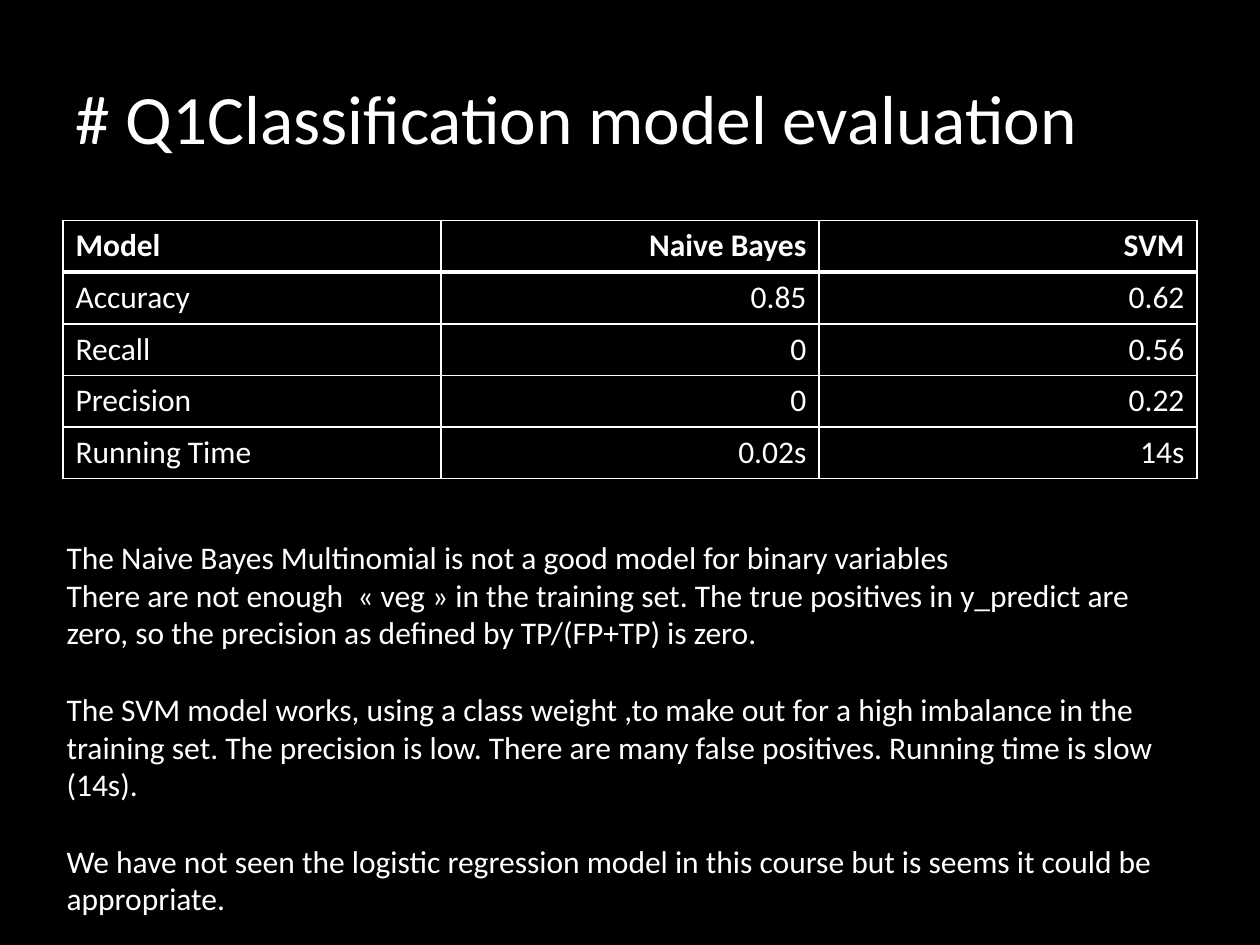
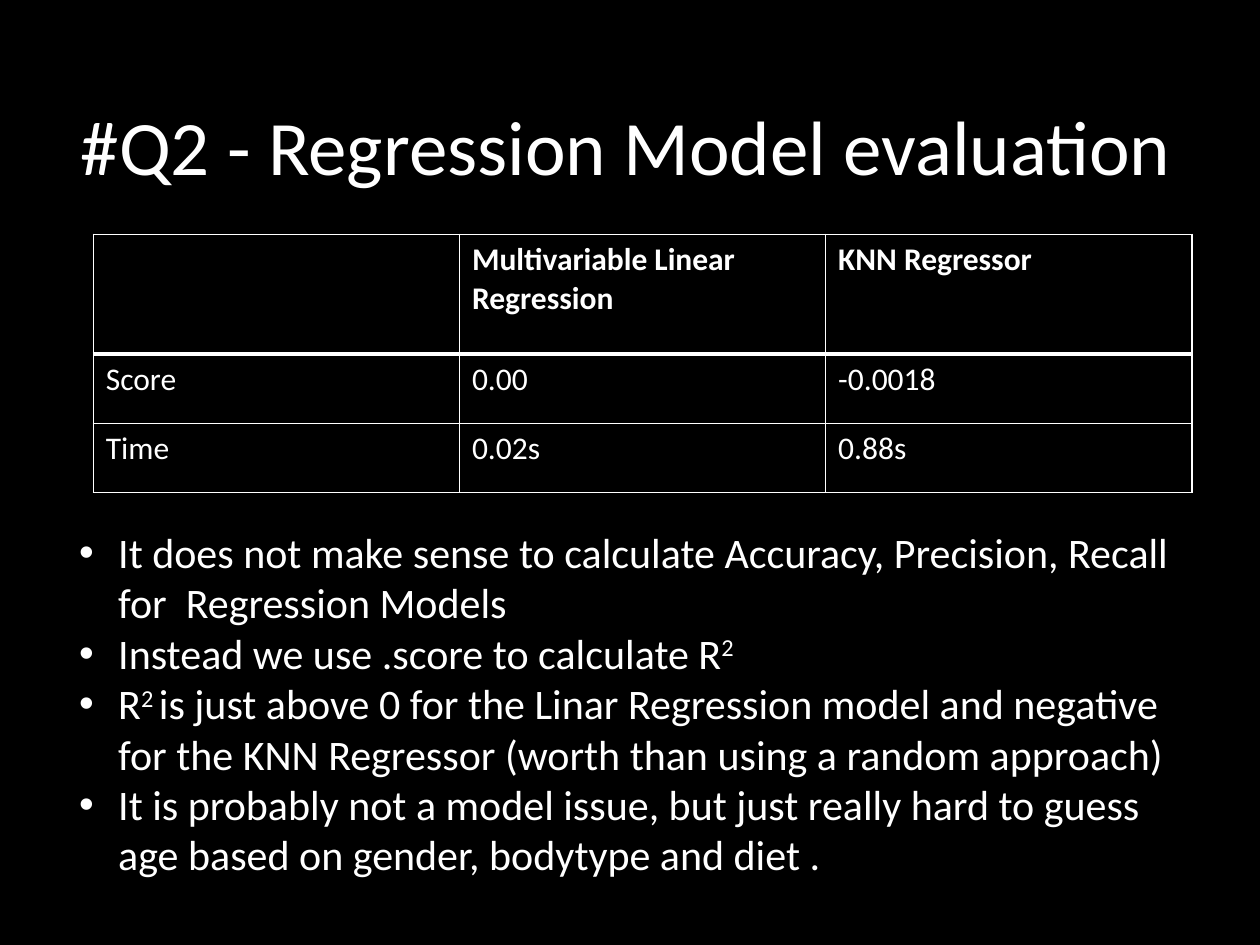
from lxml.etree import SubElement
from pptx import Presentation
from pptx.dml.color import RGBColor
from pptx.enum.text import MSO_ANCHOR as Anchor, MSO_AUTO_SIZE as AutoSize, PP_ALIGN as Align
from pptx.oxml.ns import qn
from pptx.util import Inches, Pt

FONT = "Calibri"
BACK = "000000"
INK = "FFFFFF"


def colour(value):
    return RGBColor.from_string(value)


def paint(fill, value):
    fill.solid()
    fill.fore_color.rgb = colour(value)


class Page:
    """Holds the deck's style and the slide being built."""

    def __init__(self, deck):
        self.deck = deck
        self.slide = None

    def start(self, title, left, top, size):
        self.slide = self.deck.slides.add_slide(self.deck.slide_layouts[5])
        box = self.slide.shapes.title
        box.left, box.top = Inches(left), Inches(top)
        box.width, box.height = Inches(9), Inches(1.25)
        frame = box.text_frame
        frame.auto_size = AutoSize.NONE
        frame.vertical_anchor = Anchor.MIDDLE
        para = frame.paragraphs[0]
        para.alignment = Align.LEFT
        self.span(para, title, size)

    def span(self, para, text, size, bold=False, raised=False):
        run = para.add_run()
        run.text = text
        run.font.name, run.font.size, run.font.bold = FONT, Pt(size), bold
        run.font.color.rgb = colour(INK)
        if raised:
            run.font._element.set("baseline", "30000")

    def table(self, rows, left, top, width, heights, number_align=Align.LEFT):
        """Draws a grid whose first row is bold and ruled off by a thick line."""
        columns = len(rows[0])
        grid = self.slide.shapes.add_table(
            len(rows), columns, Inches(left), Inches(top), Inches(width), Inches(sum(heights))
        ).table
        for column in grid.columns:
            column.width = Inches(width / columns)
        for r, (row, height) in enumerate(zip(rows, heights)):
            grid.rows[r].height = Inches(height)
            for c, text in enumerate(row):
                cell = grid.cell(r, c)
                self.border(cell, top=3 if r == 1 else 1, bottom=3 if r == 0 else 1)
                paint(cell.fill, BACK)
                para = cell.text_frame.paragraphs[0]
                para.alignment = number_align if c else Align.LEFT
                if text:
                    self.span(para, text, 18, bold=r == 0)

    def border(self, cell, top, bottom):
        properties = cell._tc.get_or_add_tcPr()
        for side, weight in (("L", 1), ("R", 1), ("T", top), ("B", bottom)):
            line = SubElement(properties, qn(f"a:ln{side}"), w=str(Pt(weight)))
            SubElement(SubElement(line, qn("a:solidFill")), qn("a:srgbClr"), val=INK)

    def text(self, paragraphs, left, top, width, height, size, bullets=False):
        """Each paragraph is (space before, spans); a span is (text, raised)."""
        box = self.slide.shapes.add_textbox(
            Inches(left), Inches(top), Inches(width), Inches(height)
        )
        frame = box.text_frame
        frame.word_wrap = True
        for i, (gap, spans) in enumerate(paragraphs):
            para = frame.add_paragraph() if i else frame.paragraphs[0]
            para.space_before = Pt(gap)
            if bullets:
                self.bullet(para)
            for text, raised in spans:
                self.span(para, text, size, raised=raised)

    def bullet(self, para):
        properties = para._p.get_or_add_pPr()
        indent = Inches(0.31)
        properties.set("marL", str(indent))
        properties.set("indent", str(-indent))
        SubElement(properties, qn("a:buFont"), typeface="Arial")
        SubElement(properties, qn("a:buChar"), char="•")


def plain(text, gap=0):
    return gap, [(text, False)]


def classification(page):
    page.start("# Q1Classification model evaluation", 0.5, 0.3, 39.6)
    scores = [
        ("Model", "Naive Bayes", "SVM"),
        ("Accuracy", "0.85", "0.62"),
        ("Recall", "0", "0.56"),
        ("Precision", "0", "0.22"),
        ("Running Time", "0.02s", "14s"),
    ]
    page.table(scores, 0.5, 1.75, 9, [0.41] * len(scores), Align.RIGHT)
    blank_line = 22
    comments = [
        plain("The Naive Bayes Multinomial is not a good model for binary variables"),
        plain("There are not enough  « veg » in the training set. The true positives in "
              "y_predict are zero, so the precision as defined by TP/(FP+TP) is zero."),
        plain("The SVM model works, using a class weight ,to make out for a high imbalance "
              "in the training set. The precision is low. There are many false positives. "
              "Running time is slow (14s).", blank_line),
        plain("We have not seen the logistic regression model in this course but is seems "
              "it could be appropriate.", blank_line),
    ]
    page.text(comments, 0.43, 4.22, 8.98, 3.13, 18)


def regression(page):
    page.start("#Q2 - Regression Model evaluation", 0.54, 0.52, 44)
    scores = [
        ("", "Multivariable Linear Regression", "KNN Regressor"),
        ("Score", "0.00", "-0.0018"),
        ("Time", "0.02s", "0.88s"),
    ]
    page.table(scores, 0.74, 1.86, 8.72, [0.95, 0.55, 0.55])
    comments = [
        plain("It does not make sense to calculate Accuracy, Precision, Recall  for  "
              "Regression Models"),
        (0, [("Instead we use .score to calculate R", False), ("2", True)]),
        (0, [("R", False), ("2 ", True),
             ("is just above 0 for the Linar Regression model and negative for the KNN "
              "Regressor (worth than using a random approach)", False)]),
        plain("It is probably not a model issue, but just really hard to guess age based on "
              "gender, bodytype and diet ."),
    ]
    page.text(comments, 0.53, 4.13, 8.95, 2.93, 24, bullets=True)


def main():
    deck = Presentation()
    deck.slide_width, deck.slide_height = Inches(10), Inches(7.5)
    paint(deck.slide_master.background.fill, BACK)
    page = Page(deck)
    classification(page)
    regression(page)
    deck.save("out.pptx")


if __name__ == "__main__":
    main()
